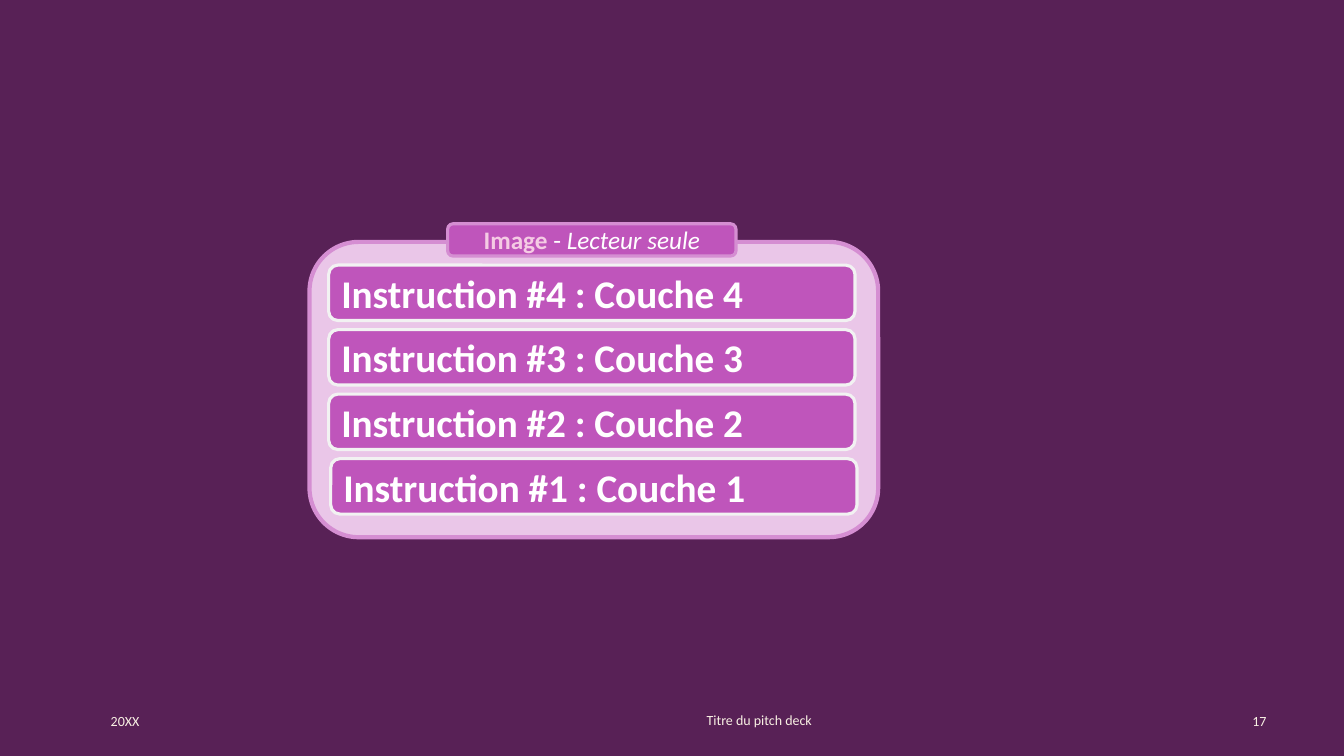
from dataclasses import dataclass

from pptx import Presentation
from pptx import util as u
from pptx.dml.color import RGBColor
from pptx.enum import shapes, text

EMU_PER_PX = 9144
LEFT, CENTER, RIGHT = text.PP_ALIGN.LEFT, text.PP_ALIGN.CENTER, text.PP_ALIGN.RIGHT
ROUNDED = shapes.MSO_SHAPE.ROUNDED_RECTANGLE
PANEL = shapes.MSO_SHAPE.FLOWCHART_ALTERNATE_PROCESS


@dataclass(frozen=True)
class Theme:
    font: str = "Calibri"
    back: str = "582156"
    panel: str = "EAC6E8"
    edge: str = "D58ED2"
    layer: str = "BF55BB"
    layer_edge: str = "F2F2F2"
    white: str = "FFFFFF"
    pink: str = "F5CBE4"
    cream: str = "F8F0E3"
    footer_size: int = 10
    tag_size: int = 18
    layer_size: int = 28
    thin: float = 2.25
    thick: float = 3


class Deck:
    def __init__(self, theme, width, height):
        self.theme = theme
        self.prs = Presentation()
        self.prs.slide_width, self.prs.slide_height = self.px(width, height)
        self.s = self.prs.slides.add_slide(self.prs.slide_layouts[6])
        fill = self.s.background.fill
        fill.solid()
        fill.fore_color.rgb = RGBColor.from_string(theme.back)

    def px(self, *lengths):
        return [u.Emu(n * EMU_PER_PX) for n in lengths]

    def add_text(self, sp, runs, size, align):
        tf = sp.text_frame
        tf.word_wrap = True
        tf.vertical_anchor = text.MSO_ANCHOR.MIDDLE
        p = tf.paragraphs[0]
        p.alignment = align
        for words, color, style in runs:
            r = p.add_run()
            r.text = words
            r.font.color.rgb = RGBColor.from_string(color)
            formats = {"name": self.theme.font, "size": u.Pt(size), **style}
            for name, value in formats.items():
                setattr(r.font, name, value)

    def label(self, box, words, align):
        sp = self.s.shapes.add_textbox(*self.px(*box))
        runs = [(words, self.theme.cream, {})]
        self.add_text(sp, runs, self.theme.footer_size, align)

    def shape(self, kind, box, fill, line, weight):
        sp = self.s.shapes.add_shape(kind, *self.px(*box))
        sp.shadow.inherit = False
        sp.fill.solid()
        sp.fill.fore_color.rgb = RGBColor.from_string(fill)
        sp.line.color.rgb = RGBColor.from_string(line)
        sp.line.width = u.Pt(weight)
        return sp

    def layer(self, number, left, top):
        t = self.theme
        sp = self.shape(ROUNDED, (left, top, 522, 55), t.layer, t.layer_edge, t.thin)
        words = f"Instruction #{number} : Couche {number}"
        self.add_text(sp, [(words, t.white, {"bold": True})], t.layer_size, LEFT)

    def tag(self, box, runs):
        t = self.theme
        sp = self.shape(ROUNDED, box, t.layer, t.edge, t.thin)
        self.add_text(sp, runs, t.tag_size, CENTER)


def main():
    t = Theme()
    deck = Deck(t, 1333, 750)
    deck.label((100, 695, 120, 40), "20XX", LEFT)
    deck.label((628, 694, 250, 40), "Titre du pitch deck", CENTER)
    deck.label((1216, 695, 50, 40), "17", RIGHT)

    deck.shape(PANEL, (307, 240, 564, 293), t.panel, t.edge, t.thick)
    for number in range(1, 5):
        left = 328 if number == 1 else 326
        deck.layer(number, left, 455 - 64 * (number - 1))
    deck.tag((444, 222, 286, 32), [
        ("Image", t.pink, {"bold": True}),
        (" - ", t.white, {}),
        ("Lecteur seule", t.white, {"italic": True}),
    ])
    deck.prs.save("out.pptx")


if __name__ == "__main__":
    main()
